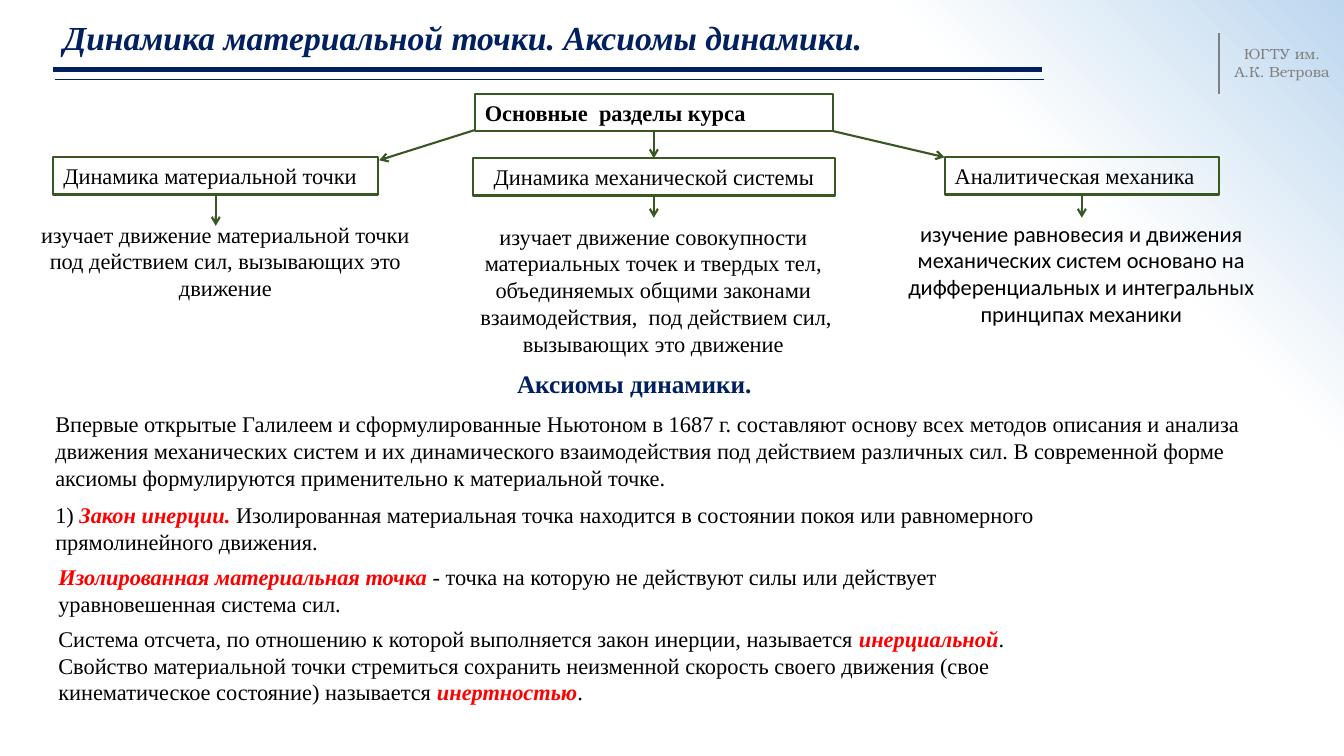
from lxml.etree import SubElement
from pptx import Presentation
from pptx.dml.color import RGBColor
from pptx.enum.shapes import MSO_CONNECTOR, MSO_SHAPE
from pptx.enum.text import MSO_ANCHOR, MSO_AUTO_SIZE, PP_ALIGN
from pptx.oxml.ns import qn
from pptx.util import Inches, Pt

NAVY = RGBColor(0x00, 0x20, 0x60)
GREEN = RGBColor(0x38, 0x57, 0x23)
GRAY = RGBColor(0x80, 0x80, 0x80)
BLACK = RGBColor(0x00, 0x00, 0x00)
RED = RGBColor(0xFF, 0x00, 0x00)
WHITE = RGBColor(0xFF, 0xFF, 0xFF)
PALE_BLUE = RGBColor(0xBD, 0xD7, 0xEE)
SERIF = "Times New Roman"

SECTIONS = [
    {
        "title": "Динамика материальной точки",
        "box": (0, 0.63, 3.22), "align": PP_ALIGN.LEFT,
        "details": ["изучает движение материальной точки",
                    "под действием сил, вызывающих это движение"],
        "details_box": (-0.29, 1.21, 3.99, 0.91), "font": SERIF, "arrow": 0.31,
    },
    {
        "title": "Динамика механической системы",
        "box": (4.16, 0.64, 3.59), "align": PP_ALIGN.CENTER,
        "details": ["изучает движение совокупности материальных точек и твердых тел, "
                    "объединяемых общими законами",
                    " взаимодействия,  под действием сил, вызывающих это движение"],
        "details_box": (3.68, 1.23, 4.54, 1.45), "font": SERIF, "arrow": 0.22,
    },
    {
        "title": "Аналитическая механика",
        "box": (8.84, 0.63, 2.72), "align": PP_ALIGN.LEFT,
        "details": ["изучение равновесия и движения механических систем основано на "
                    "дифференциальных и интегральных принципах механики"],
        "details_box": (8.03, 1.2, 4.33, 1.18), "font": "Calibri", "arrow": 0.23,
    },
]

AXIOMS = [
    (0, 0.41, 12.54, 0.91,
     "Впервые открытые Галилеем и сформулированные Ньютоном в 1687 г. составляют основу "
     "всех методов описания и анализа движения механических систем и их динамического "
     "взаимодействия под действием различных сил. В современной форме аксиомы "
     "формулируются применительно к материальной точке."),
    (0, 1.31, 10.83, 0.64,
     "1) |Закон инерции. |Изолированная материальная точка находится в состоянии покоя "
     "или равномерного прямолинейного движения."),
    (0.03, 1.93, 9.85, 0.64,
     "|Изолированная материальная точка |- точка на которую не действуют силы или "
     "действует уравновешенная система сил."),
    (0.03, 2.54, 10.09, 0.91,
     "Система отсчета, по отношению к которой выполняется закон инерции, называется "
     "|инерциальной|. Свойство материальной точки стремиться сохранить неизменной "
     "скорость своего движения (свое кинематическое состояние) называется "
     "|инертностью|."),
]


def write_text(shape, *paragraphs, size=16, font=SERIF, color=BLACK, bold=False,
               italic=False, align=PP_ALIGN.LEFT, wrap=True):
    frame = shape.text_frame
    frame.word_wrap = wrap
    frame.auto_size = MSO_AUTO_SIZE.SHAPE_TO_FIT_TEXT
    for index, text in enumerate(paragraphs):
        paragraph = frame.add_paragraph() if index else frame.paragraphs[0]
        paragraph.alignment = align
        for position, part in enumerate(text.split("|")):
            if not part:
                continue
            key_term = position % 2 == 1
            run = paragraph.add_run()
            run.text = part
            run.font.name = font
            run.font.size = Pt(size)
            run.font.bold = bold or key_term
            run.font.italic = italic or key_term
            run.font.color.rgb = RED if key_term else color


def add_text(slide, left, top, width, height, *paragraphs, **text_format):
    box = slide.shapes.add_textbox(Inches(left), Inches(top), Inches(width), Inches(height))
    write_text(box, *paragraphs, **text_format)
    return box


def add_frame(slide, left, top, width, text, **text_format):
    frame = slide.shapes.add_shape(MSO_SHAPE.RECTANGLE, Inches(left), Inches(top),
                                   Inches(width), Inches(0.37))
    frame.shadow.inherit = False
    frame.fill.background()
    frame.line.color.rgb = GREEN
    frame.line.width = Pt(1.5)
    frame.text_frame.vertical_anchor = MSO_ANCHOR.TOP
    write_text(frame, text, **text_format)
    return frame


def add_line(slide, start, end, color=GREEN, width=1.5, arrow=False):
    points = [Inches(value) for value in (*start, *end)]
    line = slide.shapes.add_connector(MSO_CONNECTOR.STRAIGHT, *points)
    line.line.color.rgb = color
    line.line.width = Pt(width)
    if arrow:
        SubElement(line.line._get_or_add_ln(), qn("a:tailEnd"), type="arrow")
    SubElement(line._element.spPr, qn("a:effectLst"))
    return line


def paint_background(slide):
    fill = slide.background.fill
    fill.gradient()
    for stop, color, position in zip(fill.gradient_stops, (WHITE, PALE_BLUE), (0.78, 1)):
        stop.color.rgb = color
        stop.position = position
    gradient = slide.background._cSld.find(".//" + qn("a:gradFill"))
    linear = gradient.find(qn("a:lin"))
    radial = SubElement(gradient, qn("a:path"), path="circle")
    SubElement(radial, qn("a:fillToRect"), l="0", t="100000", r="100000", b="0")
    gradient.replace(linear, radial)


def add_header(slide, left, top, width):
    add_text(slide, left, top, 9.67, 0.5, "Динамика материальной точки. Аксиомы динамики.",
             size=24, color=NAVY, bold=True, italic=True)
    for shift, drop, weight in ((0, 0.57, 3.5), (0.02, 0.67, 0.75)):
        add_line(slide, (left + shift, top + drop), (left + shift + width, top + drop),
                 color=NAVY, width=weight)


def add_university(slide, left, top, width, height):
    add_line(slide, (left, top), (left, top + height), color=GRAY)
    add_text(slide, left, top + 0.07, width, 0.45, "ЮГТУ им. А.К. Ветрова", size=10.5,
             font="TeX Gyre Bonum", color=GRAY, align=PP_ALIGN.CENTER)


def add_course_sections(slide, left, top):
    course = add_frame(slide, left + 4.18, top, 3.55, "Основные  разделы курса", bold=True)
    frames = []
    for section in SECTIONS:
        shift, drop, width = section["box"]
        frame = add_frame(slide, left + shift, top + drop, width, section["title"],
                          align=section["align"])
        frames.append(frame)
        shift_x, shift_y, details_width, details_height = section["details_box"]
        add_text(slide, left + shift_x, top + shift_y, details_width, details_height,
                 *section["details"], font=section["font"], align=PP_ALIGN.CENTER)
        middle = left + shift + width / 2
        bottom = top + drop + 0.37
        arrow = add_line(slide, (middle, bottom), (middle, bottom + section["arrow"]),
                         arrow=True)
        arrow.begin_connect(frame, 2)
    add_line(slide, (left + 4.18, top + 0.36), (left + 3.23, top + 0.66), arrow=True)
    add_line(slide, (left + 7.73, top + 0.37), (left + 8.84, top + 0.63), arrow=True)
    center = add_line(slide, (left + 5.95, top + 0.37), (left + 5.95, top + 0.64), arrow=True)
    center.begin_connect(course, 2)
    center.end_connect(frames[1], 0)


def add_axioms(slide, left, top):
    add_text(slide, left + 4.58, top, 2.55, 0.4, "Аксиомы динамики.", size=18, color=NAVY,
             bold=True, wrap=False)
    for shift, drop, width, height, text in AXIOMS:
        add_text(slide, left + shift, top + drop, width, height, text)


def main():
    presentation = Presentation()
    presentation.slide_width = Inches(13.33)
    presentation.slide_height = Inches(7.5)
    slide = presentation.slides.add_slide(presentation.slide_layouts[6])
    paint_background(slide)
    add_university(slide, 12.09, 0.33, 1.25, 0.6)
    add_header(slide, 0.53, 0.12, 9.8)
    add_course_sections(slide, 0.53, 0.93)
    add_axioms(slide, 0.45, 3.61)
    presentation.save("out.pptx")


if __name__ == "__main__":
    main()
